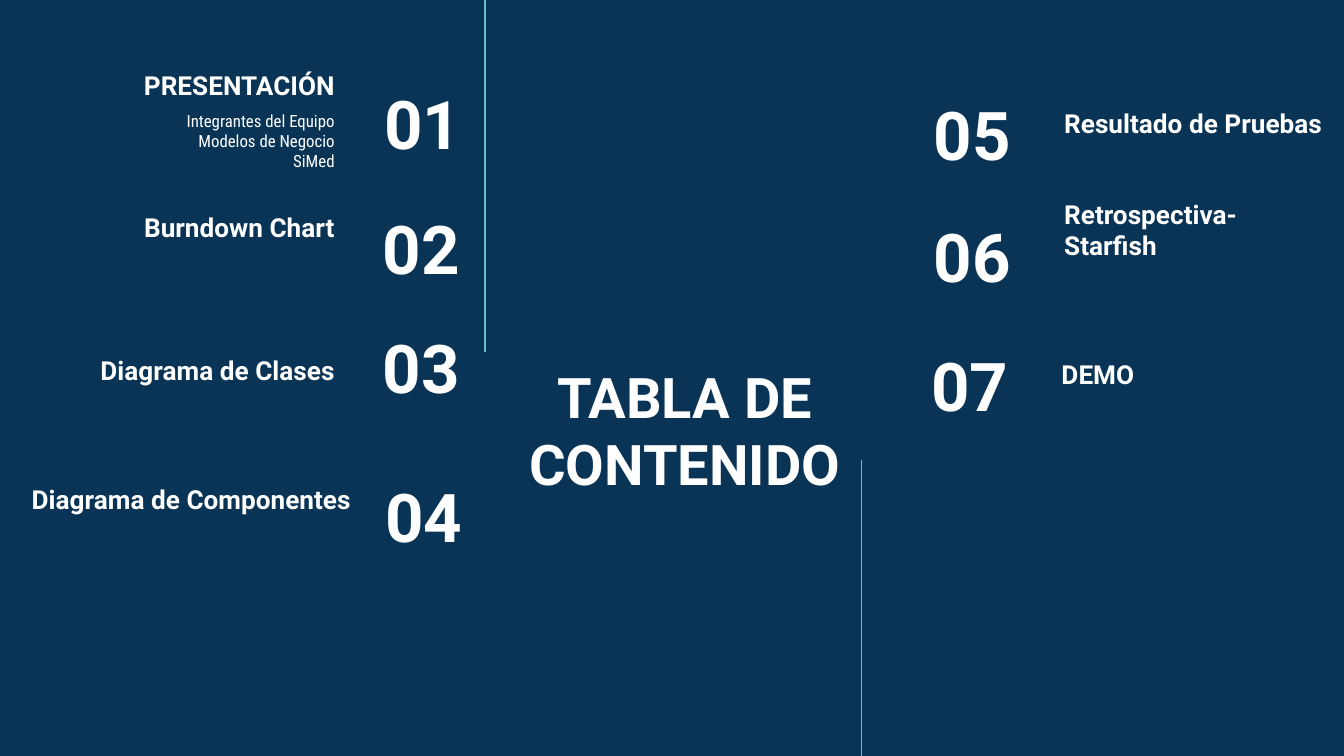
from lxml.etree import SubElement
from pptx import Presentation
from pptx.dml.color import RGBColor
from pptx.enum.shapes import MSO_CONNECTOR
from pptx.enum.text import MSO_ANCHOR, MSO_AUTO_SIZE, PP_ALIGN
from pptx.oxml.ns import qn
from pptx.util import Inches, Pt

COLORS = {"background": "0A3455", "text": "FFFFFF", "line": "6EBDC4"}
ROW_HEIGHT = 0.63

# Number, its left, top, width and alignment; heading, its left, top, width and alignment
ENTRIES = [
    ("01", 2.32, 0.6, 1.21, PP_ALIGN.RIGHT, "PRESENTACIÓN", 0.43, 0.22, 2.16, PP_ALIGN.RIGHT),
    ("02", 2.31, 1.53, 1.21, PP_ALIGN.RIGHT, "Burndown Chart", 0.43, 1.28, 2.16, PP_ALIGN.RIGHT),
    ("03", 2.31, 2.41, 1.21, PP_ALIGN.RIGHT, "Diagrama de Clases", 0.43, 2.34, 2.16, PP_ALIGN.RIGHT),
    ("04", 2.77, 3.52, 1.17, PP_ALIGN.LEFT, "Diagrama de Componentes", 0.03, 3.3, 2.68, PP_ALIGN.RIGHT),
    ("05", 6.85, 0.68, 1.17, PP_ALIGN.LEFT, "Resultado de Pruebas", 7.82, 0.5, 2.16, PP_ALIGN.LEFT),
    ("06", 6.85, 1.59, 1.17, PP_ALIGN.LEFT, "Retrospectiva- Starfish", 7.82, 1.41, 2.16, PP_ALIGN.LEFT),
    ("07", 6.83, 2.55, 1.17, PP_ALIGN.LEFT, "DEMO", 7.8, 2.37, 2.16, PP_ALIGN.LEFT),
]


def place(shape, left, top, width, height):
    shape.left, shape.top = Inches(left), Inches(top)
    shape.width, shape.height = Inches(width), Inches(height)


def write_text(shape, text, size, alignment, anchor, font_name="Roboto", bold=True):
    frame = shape.text_frame
    frame.text = text
    frame.word_wrap = True
    frame.auto_size = MSO_AUTO_SIZE.NONE
    frame.vertical_anchor = anchor
    frame.margin_left = frame.margin_right = Inches(0.1)
    frame.margin_top = frame.margin_bottom = Inches(0.1)
    for paragraph in frame.paragraphs:
        paragraph.alignment = alignment
        paragraph.space_before = Pt(0)
        paragraph.font.name = font_name
        paragraph.font.size = Pt(size)
        paragraph.font.bold = bold
        paragraph.font.color.rgb = RGBColor.from_string(COLORS["text"])


def add_label(slide, text, left, top, width, size, alignment, anchor):
    shape = slide.shapes.add_textbox(
        Inches(left), Inches(top), Inches(width), Inches(ROW_HEIGHT))
    write_text(shape, text, size, alignment, anchor)


def add_vertical_line(slide, x, top, bottom):
    line = slide.shapes.add_connector(
        MSO_CONNECTOR.STRAIGHT, Inches(x), Inches(top), Inches(x), Inches(bottom))
    line.line.color.rgb = RGBColor.from_string(COLORS["line"])
    line.line.width = Pt(0.75)
    SubElement(line._element.spPr, qn("a:effectLst"))


def main():
    # Widescreen 16:9 slide
    presentation = Presentation()
    presentation.slide_width = Inches(10)
    presentation.slide_height = presentation.slide_width * 9 // 16
    slide = presentation.slides.add_slide(presentation.slide_layouts[0])
    slide.background.fill.solid()
    slide.background.fill.fore_color.rgb = RGBColor.from_string(COLORS["background"])

    # Title
    title = slide.shapes.title
    place(title, 3.55, 2.68, 3.09, 1.03)
    write_text(title, "TABLA DE CONTENIDO", 30, PP_ALIGN.CENTER, MSO_ANCHOR.MIDDLE)

    # Details of the first entry
    details = slide.placeholders[1]
    place(details, 0.76, 0.72, 1.83, ROW_HEIGHT)
    write_text(details, "Integrantes del Equipo\nModelos de Negocio\nSiMed", 9,
               PP_ALIGN.RIGHT, MSO_ANCHOR.TOP, "Roboto Condensed", False)

    # Numbered entries
    for entry in ENTRIES:
        number, left, top, width, alignment = entry[:5]
        add_label(slide, number, left, top, width, 36, alignment, MSO_ANCHOR.MIDDLE)
        heading, left, top, width, alignment = entry[5:]
        add_label(slide, heading, left, top, width, 14, alignment, MSO_ANCHOR.BOTTOM)

    # Dividing lines
    add_vertical_line(slide, 3.61, 0, 2.62)
    add_vertical_line(slide, 6.41, 3.42, 5.64)

    presentation.save("out.pptx")


if __name__ == "__main__":
    main()
